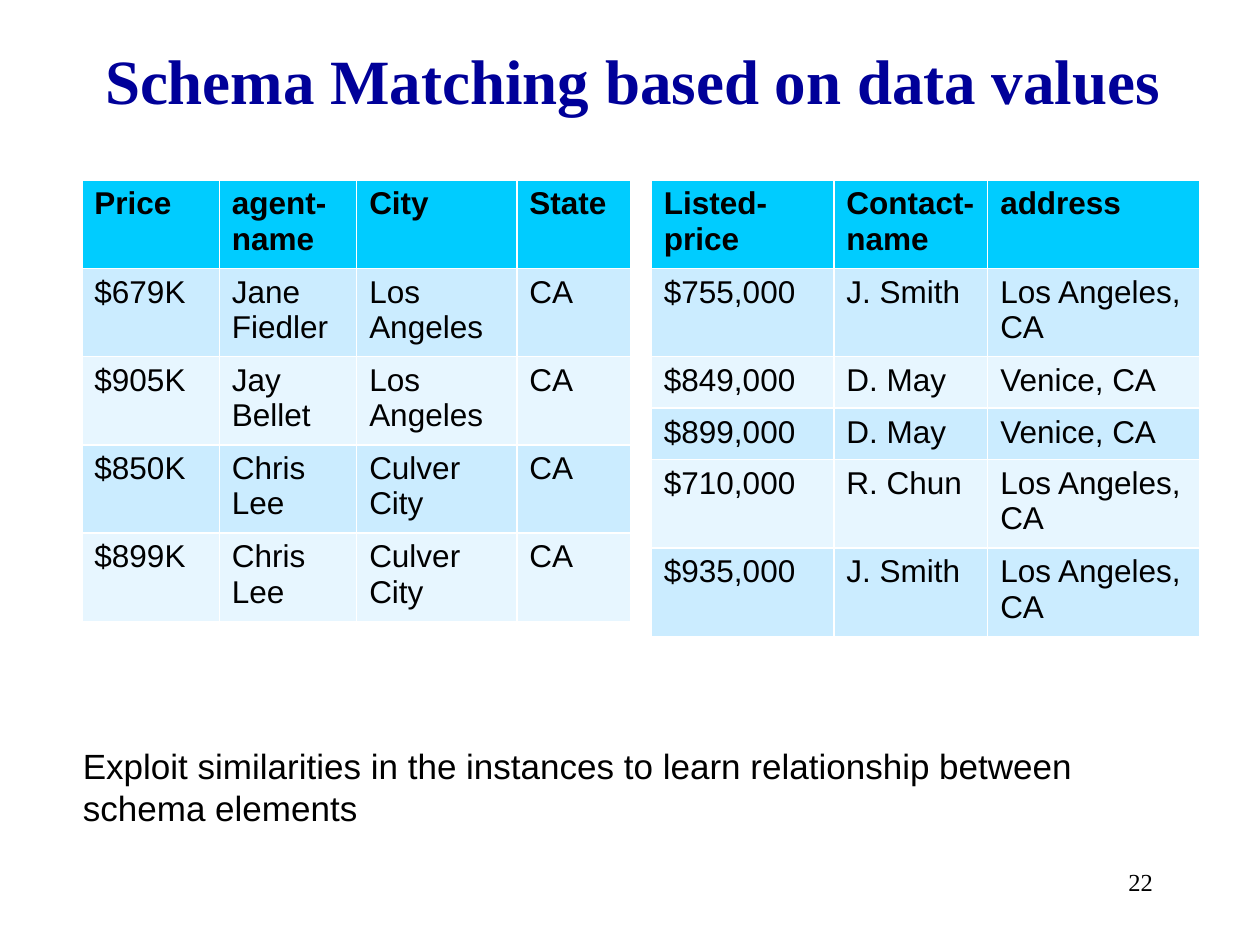
from dataclasses import dataclass

from pptx import Presentation
from pptx.dml.color import RGBColor
from pptx.enum.text import MSO_ANCHOR, PP_ALIGN
from pptx.util import Cm, Pt

LEFT, CENTER, RIGHT = PP_ALIGN.LEFT, PP_ALIGN.CENTER, PP_ALIGN.RIGHT
TOP, MIDDLE = MSO_ANCHOR.TOP, MSO_ANCHOR.MIDDLE

NAVY = RGBColor(0x00, 0x00, 0x99)
BLACK = RGBColor(0x00, 0x00, 0x00)
CYAN = RGBColor(0x00, 0xCC, 0xFF)
BANDS = (RGBColor(0xE7, 0xF6, 0xFF), RGBColor(0xCB, 0xEC, 0xFF))

SERIF, SANS = "Times New Roman", "Arial"
TABLE_TOP, ROW_HEIGHT = Cm(3.63), Cm(1.04)


@dataclass
class Label:
    text: str
    box: tuple[float, float, float, float]
    font: dict
    align: PP_ALIGN = LEFT
    anchor: MSO_ANCHOR = TOP


@dataclass
class Listing:
    left: float
    widths: list[float]
    rows: list[list[str]]


LABELS = [
    Label("Schema Matching based on data values", (1.35, 0.64, 22.81, 1.9),
          {"name": SERIF, "size": Pt(36), "bold": True}, CENTER, MIDDLE),
    Label("22", (18.21, 17.35, 5.28, 1.27),
          {"name": SERIF, "size": Pt(14)}, RIGHT),
    Label("Exploit similarities in the instances to learn relationship "
          "between schema elements", (1.42, 14.88, 22.76, 1.96),
          {"name": SANS, "size": Pt(20)}),
]
LABEL_COLORS = (NAVY, BLACK, BLACK)

LISTINGS = [
    Listing(1.65, [2.77, 2.77, 3.23, 2.29], [
        ["Price", "agent-name", "City", "State"],
        ["$679K", "Jane Fiedler", "Los Angeles", "CA"],
        ["$905K", "Jay Bellet", "Los Angeles", "CA"],
        ["$850K", "Chris Lee", "Culver City", "CA"],
        ["$899K", "Chris Lee", "Culver City", "CA"],
    ]),
    Listing(13.13, [3.68, 3.1, 4.27], [
        ["Listed-price", "Contact-name", "address"],
        ["$755,000", "J. Smith", "Los Angeles, CA"],
        ["$849,000", "D. May", "Venice, CA"],
        ["$899,000", "D. May", "Venice, CA"],
        ["$710,000", "R. Chun", "Los Angeles, CA"],
        ["$935,000", "J. Smith", "Los Angeles, CA"],
    ]),
]


def write(p, text: str, font: dict, color: RGBColor) -> None:
    r = p.add_run()
    r.text = text
    for key, value in font.items():
        setattr(r.font, key, value)
    r.font.color.rgb = color


def add_label(s, label: Label, color: RGBColor) -> None:
    tf = s.shapes.add_textbox(*map(Cm, label.box)).text_frame
    tf.word_wrap = True
    tf.vertical_anchor = label.anchor
    p = tf.paragraphs[0]
    p.alignment = label.align
    write(p, label.text, label.font, color)


def add_listing(s, listing: Listing) -> None:
    count = len(listing.rows)
    table = s.shapes.add_table(
        count, len(listing.widths), Cm(listing.left), TABLE_TOP,
        Cm(sum(listing.widths)), ROW_HEIGHT * count).table
    for column, width in zip(table.columns, listing.widths):
        column.width = Cm(width)
    for i, (row, texts) in enumerate(zip(table.rows, listing.rows)):
        row.height = ROW_HEIGHT
        font = {"name": SANS, "size": Pt(18), "bold": i == 0}
        for cell, text in zip(row.cells, texts):
            cell.fill.solid()
            cell.fill.fore_color.rgb = BANDS[i % 2] if i else CYAN
            write(cell.text_frame.paragraphs[0], text, font, BLACK)


def main() -> None:
    prs = Presentation()
    prs.slide_width, prs.slide_height = Cm(25.4), Cm(19.05)
    s = prs.slides.add_slide(prs.slide_layouts[6])
    for label, color in zip(LABELS, LABEL_COLORS):
        add_label(s, label, color)
    for listing in LISTINGS:
        add_listing(s, listing)
    prs.save("out.pptx")


if __name__ == "__main__":
    main()
